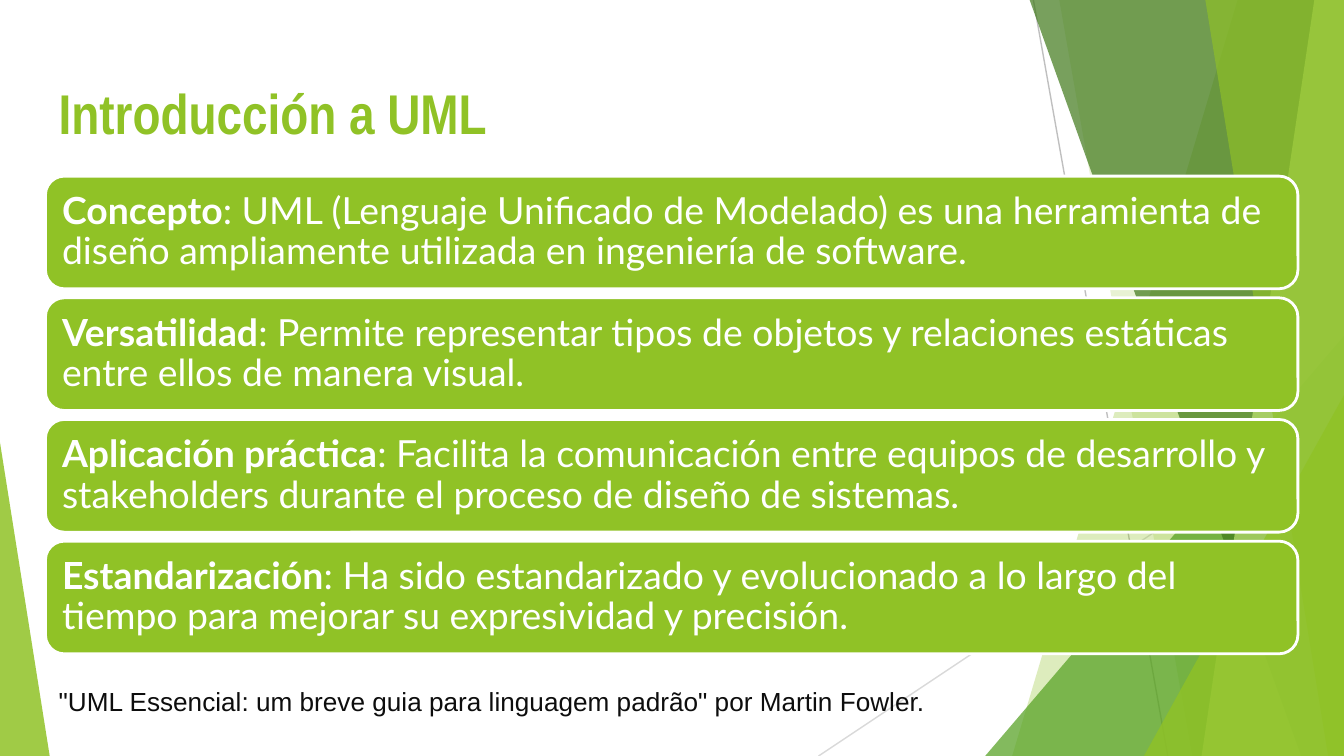
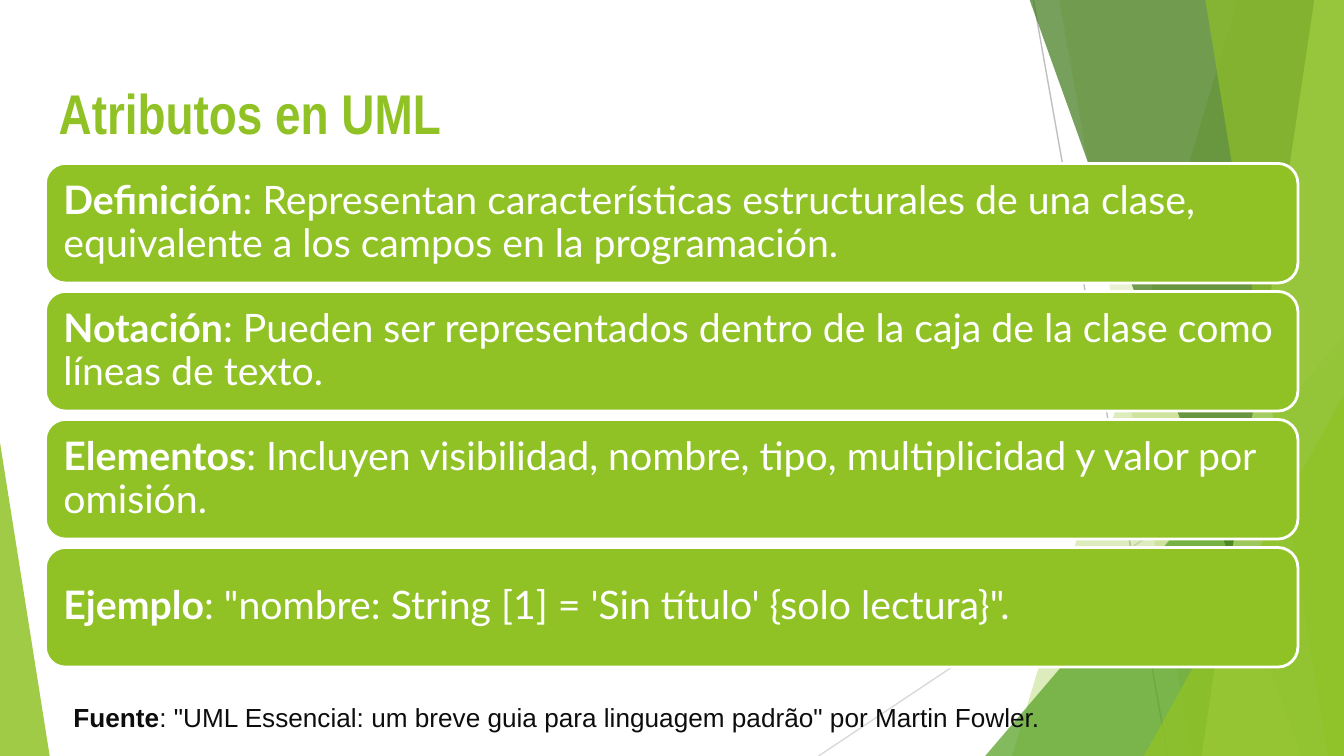
from pptx import Presentation
from pptx import util as u
from pptx.dml.color import RGBColor
from pptx.enum import shapes, text
from pptx.oxml.ns import qn
from lxml import etree

COLORS = {
    "lime": "90C226",
    "green": "54A021",
    "forest": "3F7819",
    "pale": "C0E474",
    "gray": "BFBFBF",
    "mist": "D9D9D9",
    "white": "FFFFFF",
    "ink": "0D0D0D",
}
WIDTH, HEIGHT = 25.4, 14.29
MARGIN, CONTENT_WIDTH = 0.86, 23.67

# Each heading is (bold start, plain rest); lengths are in centimetres
SLIDES = [
    {
        "title": "Introducción a UML",
        "cards": [
            ("Concepto", ": UML (Lenguaje Unificado de Modelado) es una herramienta de "
                         "diseño ampliamente utilizada en ingeniería de software."),
            ("Versatilidad", ": Permite representar tipos de objetos y relaciones "
                             "estáticas entre ellos de manera visual."),
            ("Aplicación práctica", ": Facilita la comunicación entre equipos de desarrollo y "
                                    "stakeholders durante el proceso de diseño de sistemas."),
            ("Estandarización", ": Ha sido estandarizado y evolucionado a lo largo del "
                                "tiempo para mejorar su expresividad y precisión."),
        ],
        "grid": {"top": 3.33, "height": 2.13, "pitch": 2.3, "size": 20, "inset": 0.21},
        "source": ("", '"UML Essencial: um breve guia para linguagem padrão" por Martin Fowler.'),
        "source_at": (MARGIN, 12.83),
    },
    {
        "title": "Atributos en UML",
        "cards": [
            ("Definición", ": Representan características estructurales de una clase, "
                           "equivalente a los campos en la programación."),
            ("Notación", ": Pueden ser representados dentro de la caja de la clase como "
                         "líneas de texto."),
            ("Elementos", ": Incluyen visibilidad, nombre, tipo, multiplicidad y valor por "
                          "omisión."),
            ("Ejemplo", ": \"nombre: String [1] = 'Sin título' {solo lectura}\"."),
        ],
        "grid": {"top": 3.09, "height": 2.26, "pitch": 2.42, "size": 21, "inset": 0.23},
        "source": ("Fuente", ': "UML Essencial: um breve guia para linguagem padrão" '
                             "por Martin Fowler."),
        "source_at": (1.14, 13.13),
    },
]


def rgb(name):
    return RGBColor.from_string(COLORS[name])


def write(frame, bold, plain="", *, size, font, color, anchor=text.MSO_ANCHOR.TOP,
          insets=(0.25, 0.13), spacing=None):
    """Fill a text frame with one left-aligned paragraph: a bold start, then plain text."""
    frame.word_wrap = True
    frame.auto_size = text.MSO_AUTO_SIZE.NONE
    frame.vertical_anchor = anchor
    frame.margin_left = frame.margin_right = u.Cm(insets[0])
    frame.margin_top = frame.margin_bottom = u.Cm(insets[1])
    paragraph = frame.paragraphs[0]
    paragraph.alignment = text.PP_ALIGN.LEFT
    paragraph.line_spacing = spacing
    for words, is_bold in ((bold, True), (plain, False)):
        if words:
            run = paragraph.add_run()
            run.text = words
            run.font.bold = is_bold
            run.font.size = u.Pt(size)
            run.font.name = font
            run.font.color.rgb = rgb(color)


def paint(shape, color, opacity=100):
    """Give a shape a flat fill without outline or shadow."""
    shape.shadow.inherit = False
    shape.line.fill.background()
    shape.fill.solid()
    shape.fill.fore_color.rgb = rgb(color)
    if opacity < 100:
        tint = shape.element.spPr.find(qn("a:solidFill")).find(qn("a:srgbClr"))
        etree.SubElement(tint, qn("a:alpha")).set("val", str(opacity * 1000))


def add_ray(slide, start, end, color):
    ray = slide.shapes.add_connector(
        shapes.MSO_CONNECTOR.STRAIGHT, *(u.Cm(v) for v in (*start, *end)))
    ray.line.color.rgb = rgb(color)
    ray.line.width = u.Pt(0.75)
    etree.SubElement(ray.element.spPr, qn("a:effectLst"))


def add_facet(slide, top_x, bottom_x, color, opacity):
    """A full-height band from a slanted left edge to the right side of the slide."""
    outline = slide.shapes.build_freeform(u.Cm(top_x), 0)
    corners = [(WIDTH, 0), (WIDTH, HEIGHT), (bottom_x, HEIGHT)]
    outline.add_line_segments([(u.Cm(x), u.Cm(y)) for x, y in corners], close=True)
    paint(outline.convert_to_shape(), color, opacity)


def add_wedge(slide, left, top, width, apex, color, opacity):
    """A triangle that stands on the bottom edge of the slide."""
    wedge = slide.shapes.add_shape(
        shapes.MSO_SHAPE.ISOSCELES_TRIANGLE,
        u.Cm(left), u.Cm(top), u.Cm(width), u.Cm(HEIGHT - top))
    wedge.adjustments[0] = apex
    paint(wedge, color, opacity)


def add_facets(slide):
    add_ray(slide, (19.53, 0), (22.07, HEIGHT), "gray")
    add_ray(slide, (WIDTH, 7.67), (15.47, HEIGHT), "mist")
    add_facet(slide, 23.39, 19.13, "lime", 30)
    add_facet(slide, 20.02, 22.53, "lime", 20)
    add_wedge(slide, 18.62, 6.35, 6.78, 1, "green", 72)
    add_facet(slide, 19.46, 24.59, "forest", 70)
    add_facet(slide, 24.84, 22.71, "pale", 70)
    add_facet(slide, 22.78, 25.1, "lime", 65)
    add_wedge(slide, 21.62, 7.47, 3.78, 1, "lime", 80)
    add_wedge(slide, 0, 8.36, 0.94, 0, "lime", 85)


def move_to_layout(slide, layout):
    """Hand the decoration of a slide to its layout, behind the placeholders."""
    tree = layout.shapes.element
    decoration = [s.element for s in slide.shapes if not s.is_placeholder]
    for index, element in enumerate(decoration):
        element.xpath(".//p:cNvPr")[0].set("id", str(100 + index))
        tree.insert(2 + index, element)


def add_title(slide, words):
    title = slide.shapes.title
    title.left, title.top = u.Cm(MARGIN), u.Cm(1.24)
    title.width, title.height = u.Cm(CONTENT_WIDTH), u.Cm(1.6)
    write(title.text_frame, words, size=30, font="Arial Narrow", color="lime",
          insets=(0.25, 0.25))


def add_cards(slide, cards, top, height, pitch, size, inset):
    for row, (term, meaning) in enumerate(cards):
        card = slide.shapes.add_shape(
            shapes.MSO_SHAPE.ROUNDED_RECTANGLE, u.Cm(MARGIN), u.Cm(top + row * pitch),
            u.Cm(CONTENT_WIDTH), u.Cm(height))
        paint(card, "lime")
        card.line.color.rgb = rgb("white")
        card.line.width = u.Pt(1.5)
        write(card.text_frame, term, meaning, size=size, font="Lato", color="white",
              anchor=text.MSO_ANCHOR.MIDDLE, insets=(inset, inset), spacing=0.9)


def add_source(slide, source, left, top):
    box = slide.shapes.add_textbox(
        u.Cm(left), u.Cm(top), u.Cm(WIDTH - MARGIN - left), u.Cm(0.86))
    write(box.text_frame, *source, size=14, font="Arial", color="ink")


def main():
    deck = Presentation()
    deck.slide_width, deck.slide_height = u.Cm(WIDTH), u.Cm(HEIGHT)
    layout = deck.slide_layouts[5]

    for number, content in enumerate(SLIDES):
        slide = deck.slides.add_slide(layout)
        # Shared decoration, drawn once
        if number == 0:
            add_facets(slide)
            move_to_layout(slide, layout)
        # Content
        add_title(slide, content["title"])
        add_cards(slide, content["cards"], **content["grid"])
        add_source(slide, content["source"], *content["source_at"])

    deck.save("out.pptx")


if __name__ == "__main__":
    main()
